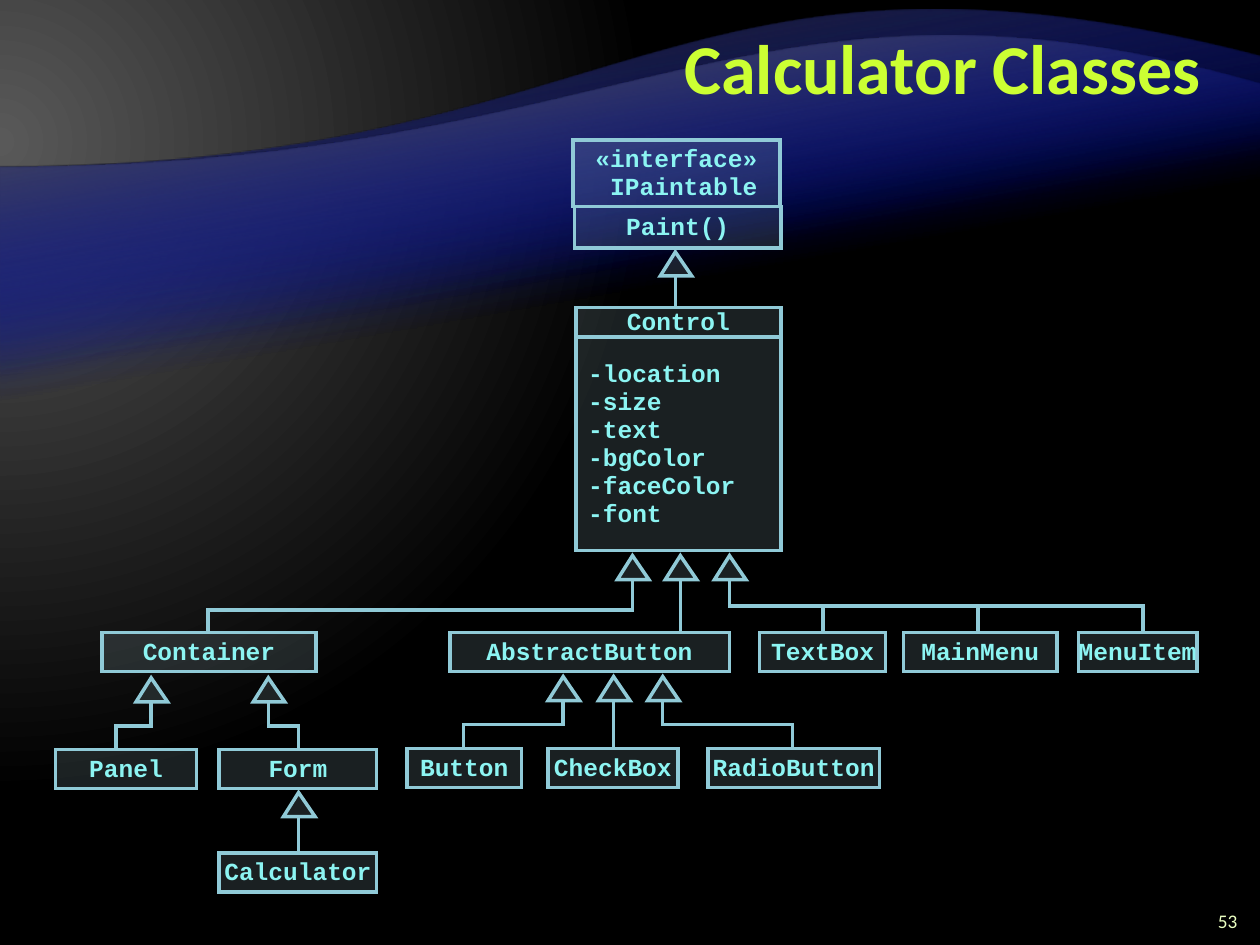
from lxml import etree
from pptx import Presentation
from pptx import util as u
from pptx.dml.color import RGBColor
from pptx.enum import shapes, text
from pptx.oxml.ns import qn

PX = 9144  # EMU per px, 100 px to the inch
EDGE = "90CAD7"
TINT = "B5DBE5"
CODE = {"name": "Courier New", "size": u.Pt(14), "bold": True, "color": "8CF4F2"}
TITLE = {"name": "Calibri", "size": u.Pt(40), "bold": True, "color": "CCFF33"}
NUMBER = {"name": "Calibri", "size": u.Pt(11), "bold": False, "color": "EBFFC2"}
CENTER, LEFT, RIGHT = (text.PP_ALIGN.CENTER, text.PP_ALIGN.LEFT, text.PP_ALIGN.RIGHT)


def rgb(value):
    return RGBColor.from_string(value)


def add(parent, tag, **attrs):
    return etree.SubElement(parent, qn(tag), {k: str(v) for k, v in attrs.items()})


def set_gradient(element, stops):
    """Replace the gradient below element; stops are (percent, colour, opacity)."""
    grad = element.find(".//" + qn("a:gradFill"))
    for child in list(grad):
        grad.remove(child)
    gs_list = add(grad, "a:gsLst")
    for percent, color, opacity in stops:
        gs = add(gs_list, "a:gs", pos=percent * 1000)
        clr = add(gs, "a:srgbClr", val=color)
        if opacity < 100:
            add(clr, "a:alpha", val=opacity * 1000)
    return grad


class ClassDiagram:
    def __init__(self, slide):
        self.s = slide

    def background(self):
        self.s.background.fill.gradient()
        grad = set_gradient(self.s.element, [(0, "595959", 100), (83, "000000", 100)])
        circle = add(grad, "a:path", path="circle")
        add(circle, "a:fillToRect", l=20000, t=30000, r=135000, b=100000)

    def outline(self, points, close):
        builder = self.s.shapes.build_freeform(*points[0], scale=PX)
        builder.add_line_segments(points[1:], close=close)
        sp = builder.convert_to_shape()
        sp.shadow.inherit = False
        return sp

    def wave(self, top, bottom, control, color):
        """Blue band whose upper edge is a curve from the left side to the right."""
        sp = self.outline([(1000, bottom), (0, bottom), (0, 133), (1000, top)], True)
        edge = sp._element.findall(".//" + qn("a:lnTo"))[2]
        edge.tag = qn("a:cubicBezTo")
        edge.remove(edge[0])
        for x, y in ((500, 133), control, (1000, top)):
            add(edge, "a:pt", x=x, y=y - top)
        sp.line.fill.background()
        sp.fill.gradient()
        grad = set_gradient(sp._element, [(65, "000D9E", 0), (100, color, 100)])
        add(grad, "a:lin", ang=260 * 60000, scaled=0)

    def stroke(self, sp):
        sp.line.color.rgb = rgb(EDGE)
        sp.line.width = u.Pt(2)
        add(sp.line._get_or_add_ln(), "a:miter", lim=800000)

    def tint(self, sp):
        sp.fill.solid()
        sp.fill.fore_color.rgb = rgb(TINT)
        clr = sp._element.spPr.find(qn("a:solidFill"))[0]
        add(clr, "a:alpha", val=15000)
        self.stroke(sp)

    def set_text(self, sp, lines, style, align, inset, spacing, wrap, anchor):
        tf = sp.text_frame
        frame = {"word_wrap": wrap, "vertical_anchor": anchor,
                 "margin_left": inset * PX, "margin_right": inset * PX,
                 "margin_top": 0, "margin_bottom": 0}
        for key, value in frame.items():
            setattr(tf, key, value)
        for i, line in enumerate(lines):
            p = tf.paragraphs[0] if i == 0 else tf.add_paragraph()
            p.alignment = align
            p.line_spacing = spacing
            r = p.add_run()
            r.text = line
            for key, value in style.items():
                if key == "color":
                    r.font.color.rgb = rgb(value)
                else:
                    setattr(r.font, key, value)

    def label(self, x, y, w, h, line, style, spacing, anchor):
        sp = self.s.shapes.add_textbox(x * PX, y * PX, w * PX, h * PX)
        self.set_text(sp, [line], style, RIGHT, 10, spacing, True, anchor)

    def box(self, x, y, w, h, *lines, align=CENTER):
        sp = self.s.shapes.add_shape(
            shapes.MSO_SHAPE.RECTANGLE, x * PX, y * PX, w * PX, h * PX)
        sp.shadow.inherit = False
        self.tint(sp)
        left = align == LEFT
        self.set_text(sp, lines, CODE, align, 10 if left else 0, 0.95, left,
                      text.MSO_ANCHOR.MIDDLE)

    def line(self, x, y1, y2):
        c = self.s.shapes.add_connector(
            shapes.MSO_CONNECTOR.STRAIGHT, x * PX, y1 * PX, x * PX, y2 * PX)
        self.stroke(c)
        add(c._element.spPr, "a:effectLst")

    def inherits(self, x, y, child_x, child_y, bend=None):
        """Hollow arrow with its tip at (x, y), joined to the child class below."""
        base = y + 19
        if child_x == x:
            self.line(x, base, child_y)
        else:
            bend = bend or (base + child_y) // 2
            sp = self.outline(
                [(x, base), (x, bend), (child_x, bend), (child_x, child_y)], False)
            sp.fill.background()
            self.stroke(sp)
        self.tint(self.outline([(x - 12, base), (x + 13, base), (x, y)], True))


BOXES = [
    (456, 164, 164, 33, "Paint()"),
    (455, 111, 164, 53, "«interface»", " IPaintable"),
    (457, 244, 163, 23, "Control"),
    (81, 502, 170, 31, "Container"),
    (357, 502, 222, 31, "AbstractButton"),
    (603, 502, 100, 31, "TextBox"),
    (717, 502, 122, 31, "MainMenu"),
    (856, 502, 94, 31, "MenuItem"),
    (44, 595, 112, 31, "Panel"),
    (174, 595, 125, 31, "Form"),
    (323, 594, 91, 31, "Button"),
    (435, 594, 103, 31, "CheckBox"),
    (562, 594, 136, 31, "RadioButton"),
    (174, 677, 125, 31, "Calculator"),
]
FIELDS = ["-location", "-size", "-text", "-bgColor", "-faceColor", "-font"]
ARROWS = [
    (536, 200, 536, 244),
    (502, 441, 165, 502, 484), (540, 441, 540, 502), (579, 441, 907, 502),
    (120, 538, 92, 595), (213, 538, 237, 595),
    (447, 537, 368, 594), (487, 537, 487, 594), (526, 537, 629, 594),
    (237, 629, 237, 677),
]


def main():
    prs = Presentation()
    prs.slide_width, prs.slide_height = 1000 * PX, 750 * PX
    d = ClassDiagram(prs.slides.add_slide(prs.slide_layouts[6]))
    d.background()
    for _ in range(2):
        d.wave(45, 653, (534, -75), "262626")
        d.wave(67, 557, (598, -49), "595959")
    d.label(200, 8, 775, 100, "Calculator Classes ", TITLE, u.Pt(40),
            text.MSO_ANCHOR.MIDDLE)
    d.label(942, 722, 50, 20, "53", NUMBER, 1.0, text.MSO_ANCHOR.TOP)
    for box in BOXES:
        d.box(*box)
    d.box(457, 268, 163, 169, *FIELDS, align=LEFT)
    for arrow in ARROWS:
        d.inherits(*arrow)
    for x in (653, 776):
        d.line(x, 480, 501)
    prs.save("out.pptx")


if __name__ == "__main__":
    main()
